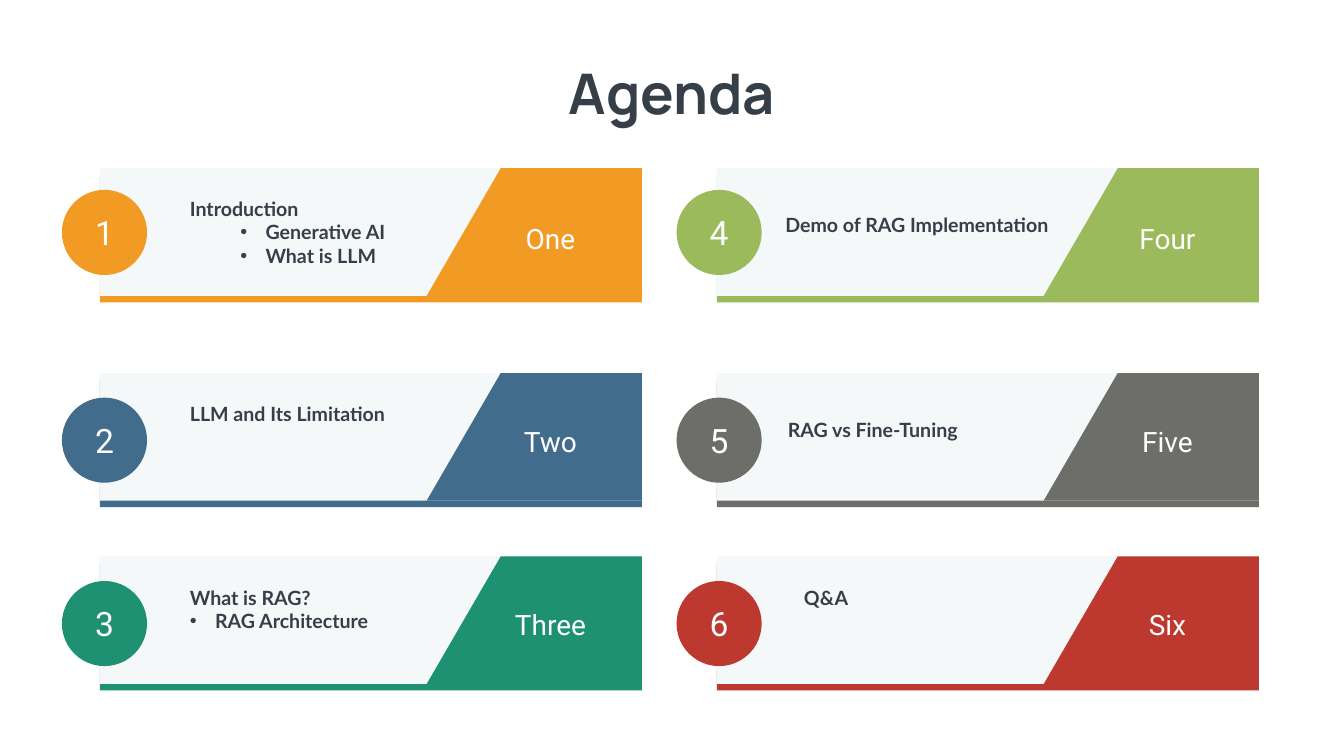
import pptx
import pptx.util
import pptx.dml.color
import pptx.enum.shapes
import pptx.enum.text
import pptx.oxml.ns
from lxml import etree

Cm = pptx.util.Cm
ALIGN = pptx.enum.text.PP_ALIGN
ANCHOR = pptx.enum.text.MSO_ANCHOR
SHAPES = pptx.enum.shapes.MSO_SHAPE

COLORS = {
    "orange": "F19B25", "blue": "416C8C", "teal": "1D9171",
    "green": "9BBA5B", "gray": "6D6E6A", "red": "BD392F",
    "panel": "F5F8F9", "ink": "363E48", "white": "FFFFFF",
}

# Content: label, colour, topic lines as (text, bullet indent in cm), topic left and top in cm
AGENDA = [
    ("One", "orange", [("Introduction", None), ("Generative AI", 3.81), ("What is LLM", 3.81)], 9.32, 9.78),
    ("Two", "blue", [("LLM and Its Limitation", None)], 9.32, 20.14),
    ("Three", "teal", [("What is RAG?", None), ("RAG Architecture", 1.27)], 9.32, 29.39),
    ("Four", "green", [("Demo of RAG Implementation", None)], 39.32, 10.62),
    ("Five", "gray", [("RAG vs Fine-Tuning", None)], 39.45, 20.96),
    ("Six", "red", [("Q&A", None)], 40.26, 29.39),
]

# Grid in cm: (card left, circle left), (card top, circle drop, label drop)
COLUMNS = [(5.03, 3.12), (36.12, 34.09)]
ROWS = [(8.48, 1.09, 2.57), (18.8, 1.24, 2.46), (28.04, 1.24, 2.46)]
CARD_WIDTH, CARD_HEIGHT, STRIP = 27.31, 6.43, 0.33
TAB_WIDTH, TAB_SLANT = 10.84, 3.73
CIRCLE = 4.29
LABEL_OFFSET, LABEL_WIDTH, LABEL_HEIGHT = 18.16, 9.09, 1.96
TOPIC_WIDTH, LINE_HEIGHT, INSET = 13.92, 1.2, 0.25
HANGING = 1.27


def rgb(name):
    return pptx.dml.color.RGBColor.from_string(COLORS[name])


def paint(shape, color):
    shape.fill.solid()
    shape.fill.fore_color.rgb = rgb(color)
    shape.line.fill.background()
    shape.shadow.inherit = False
    return shape


def add_block(slide, kind, left, top, width, height, color):
    shape = slide.shapes.add_shape(kind, Cm(left), Cm(top), Cm(width), Cm(height))
    return paint(shape, color)


def add_tab(slide, right, top, color):
    """Panel at the right end of a card, with a slanted left edge."""
    left, bottom = right - TAB_WIDTH, top + CARD_HEIGHT
    builder = slide.shapes.build_freeform(Cm(left + TAB_SLANT), Cm(top))
    corners = [(right, top), (right, bottom), (left, bottom)]
    builder.add_line_segments([(Cm(x), Cm(y)) for x, y in corners], close=True)
    return paint(builder.convert_to_shape(), color)


def write(shape, lines, size, font, color="white", bold=False,
          align=ALIGN.CENTER, anchor=ANCHOR.TOP, wrap=True):
    """Fill a shape with (text, bullet indent) lines in one format."""
    frame = shape.text_frame
    frame.word_wrap = wrap
    frame.auto_size = pptx.enum.text.MSO_AUTO_SIZE.NONE
    frame.vertical_anchor = anchor
    for index, (text, indent) in enumerate(lines):
        paragraph = frame.paragraphs[0] if index == 0 else frame.add_paragraph()
        paragraph.alignment = align
        run = paragraph.add_run()
        run.text = text
        run.font.size = pptx.util.Pt(size)
        run.font.name = font
        run.font.bold = bold
        run.font.color.rgb = rgb(color)
        if indent is not None:
            properties = paragraph._p.get_or_add_pPr()
            properties.set("marL", str(Cm(indent)))
            properties.set("indent", str(-Cm(HANGING)))
            for tag, key, value in (("a:buFont", "typeface", "Arial"), ("a:buChar", "char", "•")):
                etree.SubElement(properties, pptx.oxml.ns.qn(tag)).set(key, value)


def add_text(slide, left, top, width, height, lines, **style):
    box = slide.shapes.add_textbox(Cm(left), Cm(top), Cm(width), Cm(height))
    write(box, lines, **style)


def add_card(slide, number, entry):
    label, color, topic, topic_left, topic_top = entry
    column, row = divmod(number - 1, len(ROWS))
    left, circle_left = COLUMNS[column]
    top, circle_drop, label_drop = ROWS[row]

    # Coloured strip, pale card and slanted tab
    add_block(slide, SHAPES.RECTANGLE, left, top + STRIP, CARD_WIDTH, CARD_HEIGHT, color)
    add_block(slide, SHAPES.RECTANGLE, left, top, CARD_WIDTH, CARD_HEIGHT, "panel")
    add_tab(slide, left + CARD_WIDTH, top, color)

    # Label and topic
    add_text(slide, left + LABEL_OFFSET, top + label_drop, LABEL_WIDTH, LABEL_HEIGHT,
             [(label, None)], size=40, font="Roboto")
    add_text(slide, topic_left, topic_top, TOPIC_WIDTH, INSET + LINE_HEIGHT * len(topic),
             topic, size=28, font="Lato", color="ink", bold=True, align=ALIGN.LEFT)

    # Numbered circle
    circle = add_block(slide, SHAPES.OVAL, circle_left, top + circle_drop, CIRCLE, CIRCLE, color)
    write(circle, [(str(number), None)], size=48, font="Roboto", anchor=ANCHOR.MIDDLE, wrap=False)


def main():
    presentation = pptx.Presentation()
    presentation.slide_width, presentation.slide_height = Cm(67.72), Cm(38.1)
    slide = presentation.slides.add_slide(presentation.slide_layouts.get_by_name("Title Only"))
    slide.background.fill.solid()
    slide.background.fill.fore_color.rgb = rgb("white")

    # Title
    title = slide.shapes.title
    title.left, title.top, title.width, title.height = Cm(27.81), Cm(2.84), Cm(12.09), Cm(3.68)
    write(title, [("Agenda", None)], size=80, font="Manrope", color="ink", bold=True, wrap=False)

    # Cards, filled down each column
    for number, entry in enumerate(AGENDA, start=1):
        add_card(slide, number, entry)

    presentation.save("out.pptx")


if __name__ == "__main__":
    main()
